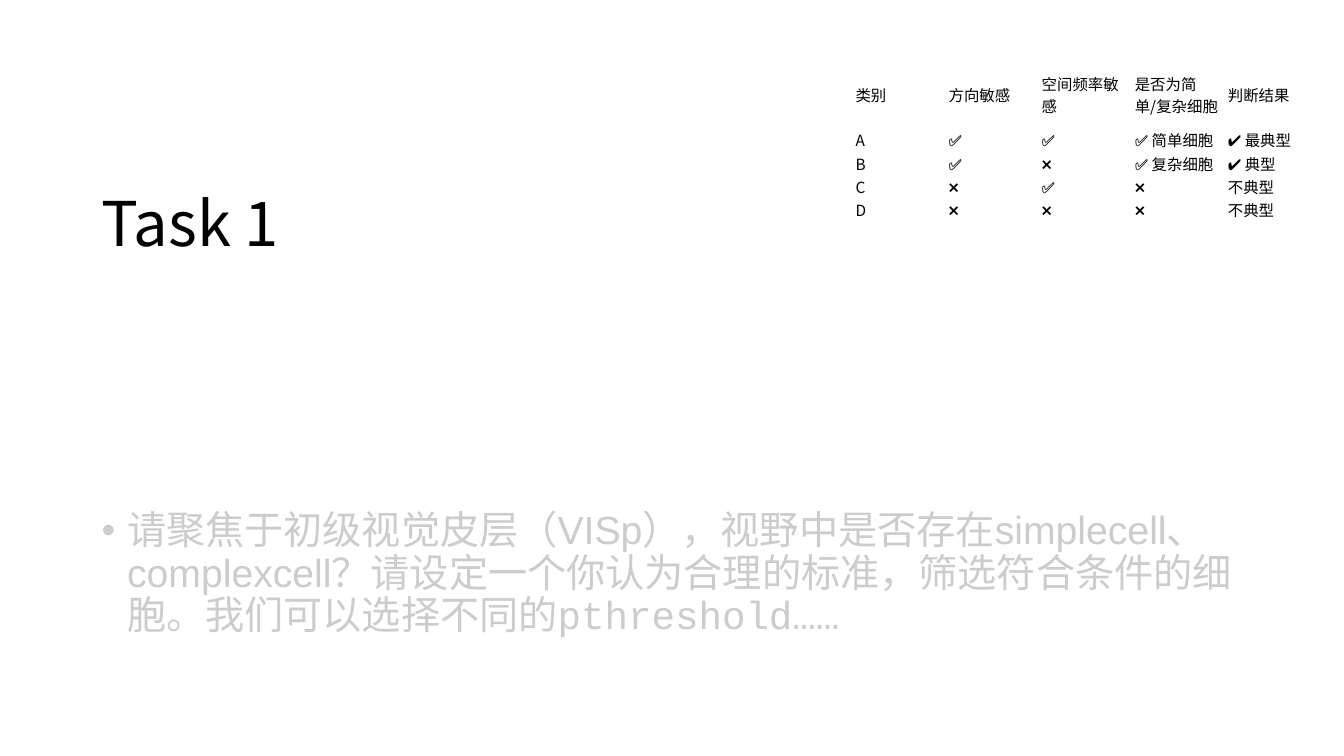
from pptx import Presentation
from pptx.dml.color import RGBColor
from pptx.enum.text import MSO_ANCHOR as Anchor, MSO_AUTO_SIZE as Fit, PP_ALIGN as Align
from pptx.oxml.ns import qn
from pptx.util import Cm, Pt

SANS, LATIN, MONO = "Noto Sans CJK SC", "Arial", "Courier New"
BLACK, GREY = "000000", "CCCCCC"
ROWS = [
    ["类别", "方向敏感", "空间频率敏感", "是否为简单/复杂细胞", "判断结果"],
    ["A", "✅", "✅", "✅ 简单细胞", "✔️ 最典型"],
    ["B", "✅", "❌", "✅ 复杂细胞", "✔️ 典型"],
    ["C", "❌", "✅", "❌", "不典型"],
    ["D", "❌", "❌", "❌", "不典型"],
]
BODY = [
    ("请聚焦于初级视觉皮层（", MONO), ("VISp", LATIN),
    ("），视野中是否存在", MONO), ("simplecell", LATIN),
    ("、", MONO), ("complexcell", LATIN),
    ("？请设定一个你认为合理的标准，筛选符合条件的细胞。"
     "我们可以选择不同的pthreshold……", MONO),
]


def style(run, face, size, tint):
    """Format a run, with the CJK face for its East Asian characters."""
    font = run.font
    font.name, font.size, font.bold = face, Pt(size), False
    font.color.rgb = RGBColor.from_string(tint)
    props = run._r.get_or_add_rPr()
    props.set("lang", "zh-CN")
    props.find(qn("a:latin")).addnext(
        props.makeelement(qn("a:ea"), {"typeface": SANS}))


def place(shape, box):
    shape.left, shape.top, shape.width, shape.height = (Cm(v) for v in box)
    frame = shape.text_frame
    frame.auto_size, frame.word_wrap = Fit.NONE, True
    frame.vertical_anchor = Anchor.TOP
    return frame


def add_title(slide, box):
    frame = place(slide.shapes.title, box)
    frame.text = "Task 1"
    para = frame.paragraphs[0]
    para.alignment, para.line_spacing = Align.LEFT, 0.9
    style(para.runs[0], SANS, 44, BLACK)


def add_body(slide, box):
    para = place(slide.placeholders[1], box).paragraphs[0]
    para.line_spacing, para.space_before = 0.9, Pt(10)
    props = para._p.get_or_add_pPr()
    props.set("marL", str(Cm(0.64)))
    props.set("indent", str(-Cm(0.64)))
    for text, face in BODY:
        run = para.add_run()
        run.text = text
        style(run, face, 28, GREY)


def add_grid(slide, box):
    left, top, width, height = (Cm(v) for v in box)
    grid = slide.shapes.add_table(
        len(ROWS), len(ROWS[0]), left, top, width, height).table
    grid.first_row = grid.horz_banding = False
    for y, row in enumerate(ROWS):
        for x, text in enumerate(row):
            cell = grid.cell(y, x)
            cell.fill.background()
            cell.vertical_anchor = Anchor.MIDDLE
            cell.margin_left = cell.margin_right = cell.margin_top = Cm(0.02)
            cell.margin_bottom = 0
            cell.text_frame.text = text
            style(cell.text_frame.paragraphs[0].runs[0], SANS, 11, BLACK)


def main():
    deck = Presentation()
    deck.slide_width, deck.slide_height = Cm(33.87), Cm(19.05)
    slide = deck.slides.add_slide(deck.slide_layouts[1])
    add_title(slide, (2.31, 4.75, 29.21, 7.92))
    add_body(slide, (2.31, 12.75, 29.21, 4.17))
    add_grid(slide, (21.54, 1.52, 11.73, 2.54))
    deck.save("out.pptx")


if __name__ == "__main__":
    main()
